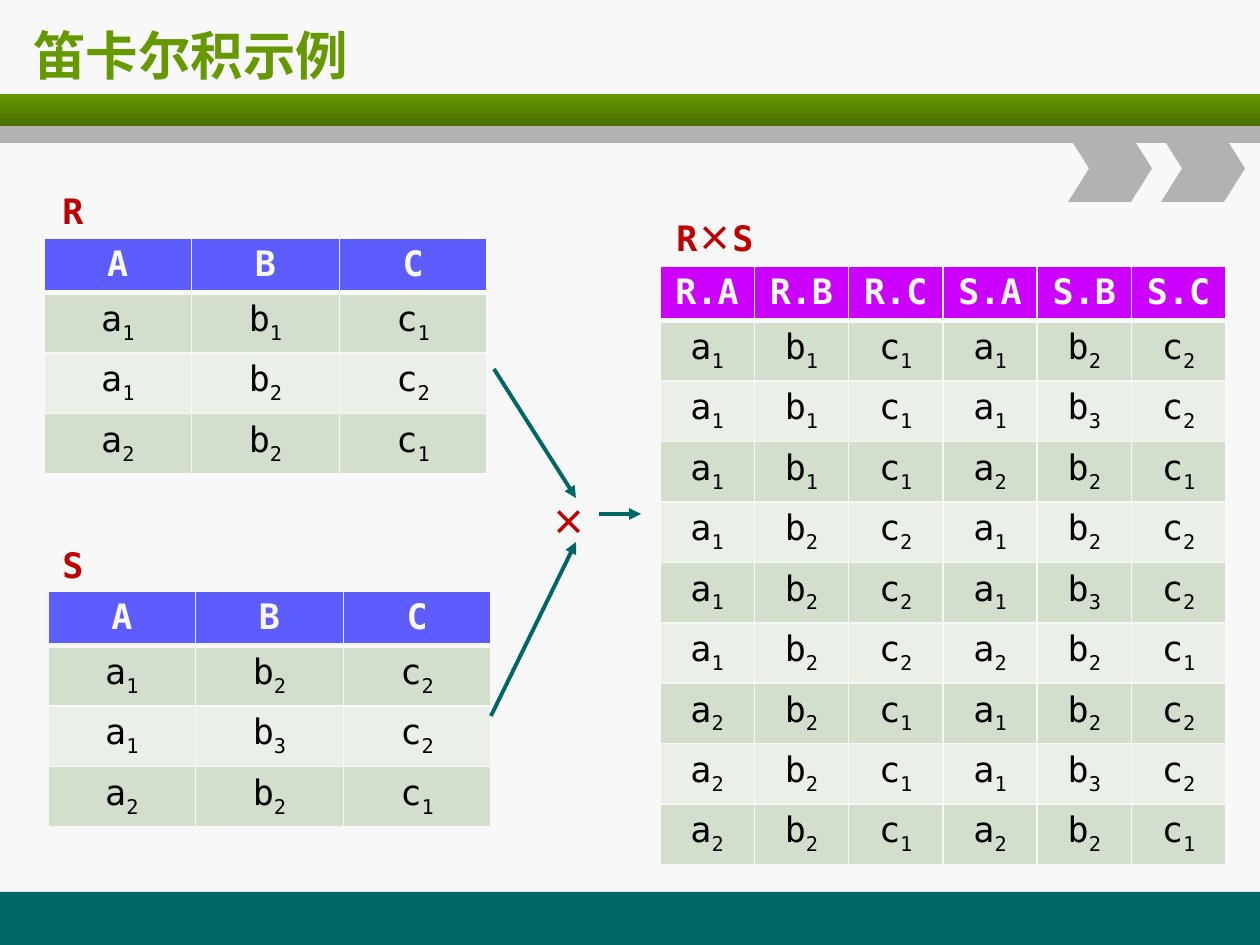
from itertools import product

from lxml.etree import SubElement as sub
from pptx import Presentation
from pptx.dml.color import RGBColor
from pptx.enum.shapes import MSO_CONNECTOR as Line, MSO_SHAPE as Form
from pptx.enum.text import MSO_ANCHOR as Anchor, PP_ALIGN as Align
from pptx.oxml.ns import qn
from pptx.util import Emu, Pt

PAPER = RGBColor(0xF8, 0xF8, 0xF8)
TEAL = RGBColor(0x00, 0x66, 0x66)
GREEN = RGBColor(0x66, 0x99, 0x00)
MOSS = RGBColor(0x49, 0x6D, 0x00)
GRAY = RGBColor(0xB2, 0xB2, 0xB2)
BLUE = RGBColor(0x5C, 0x5C, 0xFF)
PURPLE = RGBColor(0xCC, 0x00, 0xFF)
RED = RGBColor(0xC0, 0x00, 0x00)
BLACK = RGBColor(0x00, 0x00, 0x00)
BANDS = RGBColor(0xD3, 0xDE, 0xCC), RGBColor(0xEA, 0xEF, 0xE7)

MONO, SANS, HAN = "DejaVu Sans Mono", "DejaVu Sans", "Noto Sans CJK SC"

HEAD = ["A", "B", "C"]
R = [["a1", "b1", "c1"], ["a1", "b2", "c2"], ["a2", "b2", "c1"]]
S = [["a1", "b2", "c2"], ["a1", "b3", "c2"], ["a2", "b2", "c1"]]
CROSS = [r + s for r, s in product(R, S)]
WIDE = [f"{name}.{col}" for name, col in product("RS", HEAD)]

TABLES = [
    (44, 238, 443, 59, BLUE, HEAD, R),
    (48, 591, 443, 59, BLUE, HEAD, S),
    (660, 266, 566, 60, PURPLE, WIDE, CROSS),
]
LABELS = [
    ("R", 48, 183, 48, False),
    ("S", 50, 537, 44, False),
    ("R×S", 653, 210, 113, True),
    ("×", 539, 494, 60, False),
]
ARROWS = [(494, 369, 576, 498), (491, 716, 576, 542), (599, 514, 641, 514)]
BARS = [
    (Form.RECTANGLE, 0, 892, 1260, 53, TEAL),
    (Form.RECTANGLE, 0, 94, 1260, 32, GREEN),
    (Form.RECTANGLE, 0, 126, 1260, 17, GRAY),
    (Form.CHEVRON, 1068, 135, 84, 67, GRAY),
    (Form.CHEVRON, 1161, 135, 84, 67, GRAY),
]


def px(*nums):
    return [Emu(round(n * 914400 / 126)) for n in nums]


def style(run, size, color, bold, latin=MONO, asian=HAN):
    font = run.font
    font.size, font.bold, font.name = Pt(size), bold, latin
    font.color.rgb = color
    sub(run._r.rPr, qn("a:ea"), typeface=asian)


def bar(form, x, y, w, h, color):
    shape = slide.shapes.add_shape(form, *px(x, y, w, h))
    shape.shadow.inherit = False
    shape.line.fill.background()
    if form == Form.CHEVRON:
        shape.adjustments[0] = 0.314
    if color == GREEN:
        shape.fill.gradient()
        shape.fill.gradient_angle = 270
        for stop, tone in zip(shape.fill.gradient_stops, (GREEN, MOSS)):
            stop.color.rgb = tone
    else:
        shape.fill.solid()
        shape.fill.fore_color.rgb = color


def title(text):
    frame = slide.shapes.add_textbox(*px(21, 16, 1018, 78)).text_frame
    frame.word_wrap = True
    frame.vertical_anchor = Anchor.MIDDLE
    frame.text = text
    style(frame.paragraphs[0].runs[0], 30, GREEN, True, SANS)


def label(text, x, y, w, wrap):
    frame = slide.shapes.add_textbox(*px(x, y, w, 55)).text_frame
    frame.word_wrap = wrap
    para = frame.paragraphs[0]
    para.alignment = Align.RIGHT
    for char in text:
        run = para.add_run()
        run.text = char
        style(run, 20, RED, True, HAN if char == "×" else MONO)


def edge(cell, base):
    props = cell._tc.get_or_add_tcPr()
    for side, width in zip("LRTB", (1, 1, 1, base)):
        line = sub(props, qn(f"a:ln{side}"), w=str(Pt(width)))
        sub(sub(line, qn("a:solidFill")), qn("a:srgbClr"), val=str(PAPER))


def fill(cell, parts, back, color, bold):
    edge(cell, 3 if bold else 1)
    cell.fill.solid()
    cell.fill.fore_color.rgb = back
    para = cell.text_frame.paragraphs[0]
    para.alignment = Align.CENTER
    for i, part in enumerate(parts):
        run = para.add_run()
        run.text = part
        style(run, 20, color, bold)
        if i:
            run._r.rPr.set("baseline", "-25000")


def grid(x, y, w, step, back, head, rows):
    size = px(x, y, w, 53 + step * len(rows))
    table = slide.shapes.add_table(len(rows) + 1, len(head), *size).table
    for i, row in enumerate(table.rows):
        row.height = px(step if i else 53)[0]
    for j, name in enumerate(head):
        fill(table.cell(0, j), [name], back, PAPER, True)
    for i, row in enumerate(rows):
        for j, item in enumerate(row):
            fill(table.cell(i + 1, j), item, BANDS[i % 2], BLACK, False)


def arrow(*ends):
    link = slide.shapes.add_connector(Line.STRAIGHT, *px(*ends))
    link.line.color.rgb = TEAL
    link.line.width = Pt(2.25)
    sub(link.line._get_or_add_ln(), qn("a:tailEnd"), type="triangle")
    sub(link._element.spPr, qn("a:effectLst"))


deck = Presentation()
deck.slide_width, deck.slide_height = px(1260, 945)
slide = deck.slides.add_slide(deck.slide_layouts[6])
slide.background.fill.solid()
slide.background.fill.fore_color.rgb = PAPER
title("笛卡尔积示例")
for draw, items in ((bar, BARS), (grid, TABLES), (label, LABELS), (arrow, ARROWS)):
    for item in items:
        draw(*item)
deck.save("out.pptx")
